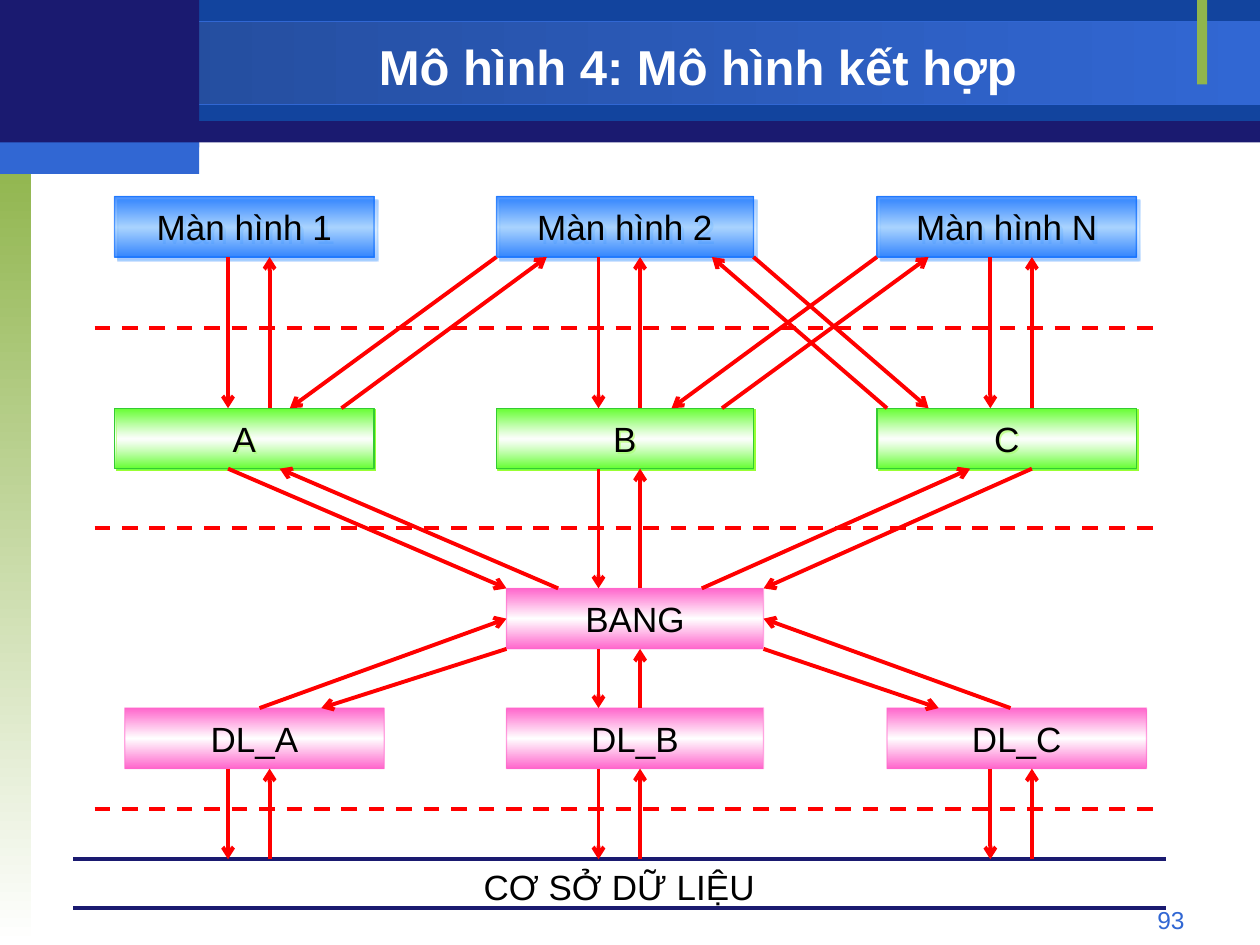
from lxml.etree import SubElement
from pptx import Presentation
from pptx.dml.color import RGBColor
from pptx.enum.dml import MSO_LINE_DASH_STYLE as Dash
from pptx.enum.shapes import MSO_CONNECTOR as Connector, MSO_SHAPE as Preset
from pptx.enum.text import MSO_ANCHOR as Anchor, PP_ALIGN as Align
from pptx.oxml.ns import qn
from pptx.util import Inches, Pt

WIDTH, HEIGHT = 10, 7.5
NAVY, DEEP_BLUE, BLUE, GREEN, RED = "1A1A70", "12449E", "3167D3", "90B54D", "FF0000"

# Diagram grid: box columns as (left, width), then row tops
COLUMNS = [(0.91, 2.06), (3.94, 2.04), (6.96, 2.06)]
DATA_SHIFT = 0.08
BOX_HEIGHT = 0.48
SCREEN, MODULE, BANG, DATA, BASE, BASE_END = 1.56, 3.24, 4.67, 5.62, 6.82, 7.21
SCREEN_END, MODULE_END, BANG_END, DATA_END = (
    top + BOX_HEIGHT for top in (SCREEN, MODULE, BANG, DATA))
DOWN_X = [1.81, 4.75, 7.86]
UP_SHIFT = 0.33
BANG_LEFT = COLUMNS[1][0] + DATA_SHIFT
BANG_RIGHT = BANG_LEFT + COLUMNS[1][1]

# Gradient stops are (position, colour, opacity), all in percent
SCREEN_STYLE = dict(
    stops=[(0, "0066FF", 71), (50, "99CCFF", 71), (100, "0066FF", 71)],
    border="0066FF", border_opacity=60, shadow=("3399FF", 50, 2.8), before=50)
MODULE_STYLE = dict(
    stops=[(0, "66FF33", 100), (50, "FFFFFF", 50), (100, "66FF33", 100)],
    border="33CC33", shadow=("99FF33", 100, 1.4))
DATA_STYLE = dict(
    stops=[(0, "FF66CC", 100), (50, "FFFFFF", 100), (100, "FF66CC", 100)],
    border="FF66CC", border_opacity=60)

# Slanted arrows as (start, end)
SLANTED = [
    ((3.94, SCREEN_END), (2.3, MODULE)), ((2.71, MODULE), (4.34, SCREEN_END)),
    ((6.96, SCREEN_END), (5.33, MODULE)), ((5.73, MODULE), (7.37, SCREEN_END)),
    ((7.04, MODULE), (5.65, SCREEN_END)), ((5.98, SCREEN_END), (7.37, MODULE)),
    ((1.81, MODULE_END), (BANG_LEFT, BANG)), ((4.43, BANG), (2.22, MODULE_END)),
    ((8.19, MODULE_END), (BANG_RIGHT, BANG)), ((5.57, BANG), (7.7, MODULE_END)),
    ((BANG_RIGHT, BANG_END), (7.45, DATA)), ((8.02, DATA), (BANG_RIGHT, 4.91)),
    ((2.06, DATA), (BANG_LEFT, 4.91)), ((BANG_LEFT, BANG_END), (2.55, DATA)),
]


def colour(code):
    return RGBColor.from_string(code)


def add_colour(parent, code, opacity=100):
    node = SubElement(parent, qn("a:srgbClr"), val=code)
    if opacity < 100:
        SubElement(node, qn("a:alpha"), val=str(opacity * 1000))


def set_gradient(shape, stops, angle):
    shape.fill.gradient()
    gradient = shape.element.spPr.find(qn("a:gradFill"))
    for child in list(gradient):
        gradient.remove(child)
    stop_list = SubElement(gradient, qn("a:gsLst"))
    for position, code, opacity in stops:
        stop = SubElement(stop_list, qn("a:gs"), pos=str(position * 1000))
        add_colour(stop, code, opacity)
    SubElement(gradient, qn("a:lin"), ang=str(angle * 60000), scaled="0")


def add_panel(page, left, top, width, height, fill=None, stops=None, angle=90,
              border=None, border_opacity=100, shadow=None):
    panel = page.shapes.add_shape(Preset.RECTANGLE, Inches(left), Inches(top),
                                  Inches(width), Inches(height))
    if stops:
        set_gradient(panel, stops, angle)
    else:
        panel.fill.solid()
        panel.fill.fore_color.rgb = colour(fill)
    if border:
        panel.line.color.rgb = colour(border)
        panel.line.width = Pt(0.75)
        if border_opacity < 100:
            tint = panel.line.fill.fore_color  # solid line colour
            tint.rgb = colour(border)
            node = panel.element.spPr.find(f"{qn('a:ln')}//{qn('a:srgbClr')}")
            SubElement(node, qn("a:alpha"), val=str(border_opacity * 1000))
    else:
        panel.line.fill.background()
    panel.shadow.inherit = False
    if shadow:
        code, opacity, distance = shadow
        effects = panel.element.spPr.find(qn("a:effectLst"))
        outer = SubElement(effects, qn("a:outerShdw"), blurRad="0",
                           dist=str(Pt(distance)), dir=str(45 * 60000),
                           algn="ctr", rotWithShape="0")
        add_colour(outer, code, opacity)
    return panel


def write(shape, text, size=20, code="000000", bold=False, align=Align.CENTER,
          anchor=Anchor.MIDDLE, before=0):
    frame = shape.text_frame
    frame.word_wrap = True
    frame.vertical_anchor = anchor
    para = frame.paragraphs[0]
    para.alignment = align
    if before:
        spacing = SubElement(para._p.get_or_add_pPr(), qn("a:spcBef"))
        SubElement(spacing, qn("a:spcPct"), val=str(before * 1000))
    span = para.add_run()
    span.text = text
    span.font.name = "Arial"
    span.font.size = Pt(size)
    span.font.bold = bold
    span.font.color.rgb = colour(code)


def add_text(page, left, top, width, height, text, **style):
    box = page.shapes.add_textbox(Inches(left), Inches(top), Inches(width), Inches(height))
    write(box, text, **style)


def add_box(page, left, top, width, text, before=0, **style):
    write(add_panel(page, left, top, width, BOX_HEIGHT, **style), text, before=before)


def add_line(page, start, end, code=RED, dashed=False, arrow=False):
    line = page.shapes.add_connector(Connector.STRAIGHT,
                                     *(Inches(value) for value in (*start, *end)))
    line.line.color.rgb = colour(code)
    line.line.width = Pt(2.25)
    if dashed:
        line.line.dash_style = Dash.DASH
    properties = line.element.spPr
    if arrow:
        SubElement(properties.find(qn("a:ln")), qn("a:tailEnd"), type="arrow")
    SubElement(properties, qn("a:effectLst"))


def add_arrow_pair(page, column, top, bottom):
    down = DOWN_X[column]
    up = down + UP_SHIFT
    add_line(page, (down, top), (down, bottom), arrow=True)
    add_line(page, (up, bottom), (up, top), arrow=True)


def add_frame(page):
    corner = 1.58
    add_panel(page, 0, 0.01, WIDTH, 1.12, NAVY)
    add_panel(page, corner, 0, WIDTH - corner, 0.96, DEEP_BLUE)
    add_panel(page, 0, 0.17, WIDTH, 0.66, angle=0, border=BLUE,
              stops=[(0, "234A97", 100), (100, BLUE, 100)])
    add_panel(page, 0, 1.25, 0.25, HEIGHT - 1.25,
              stops=[(0, GREEN, 100), (100, "FFFFFF", 100)])
    add_panel(page, 9.5, 0, 0.08, 0.67, GREEN)
    add_panel(page, 0, 0, corner, 1.17, NAVY)
    add_panel(page, 0, 1.13, corner, 0.25, BLUE)
    add_text(page, 7.17, 7.13, 2.33, 0.27, "93", size=14, code=BLUE,
             align=Align.RIGHT, anchor=Anchor.TOP)
    add_text(page, corner, 0.23, 7.92, 0.58, "Mô hình 4: Mô hình kết hợp",
             size=28, code="FFFFFF", bold=True)


def add_diagram(page):
    # Database band and layer separators
    for level in (BASE, BASE_END):
        add_line(page, (0.58, level), (9.25, level), code=NAVY)
    add_text(page, 0.58, BASE, 8.67, 0.43, "CƠ SỞ DỮ LIỆU",
             anchor=Anchor.TOP, before=50)
    for level in (2.6, 4.19, 6.42):
        add_line(page, (0.75, level), (9.17, level), dashed=True)

    # Rows of boxes
    rows = [
        (SCREEN, 0, ("Màn hình 1", "Màn hình 2", "Màn hình N"), SCREEN_STYLE),
        (MODULE, 0, "ABC", MODULE_STYLE),
        (DATA, DATA_SHIFT, ("DL_A", "DL_B", "DL_C"), DATA_STYLE),
    ]
    for top, shift, labels, style in rows:
        for (left, width), label in zip(COLUMNS, labels):
            add_box(page, left + shift, top, width, label, **style)
    add_box(page, BANG_LEFT, BANG, COLUMNS[1][1], "BANG", **DATA_STYLE)

    # Upright arrow pairs, then slanted arrows
    for column in range(len(COLUMNS)):
        add_arrow_pair(page, column, SCREEN_END, MODULE)
        add_arrow_pair(page, column, DATA_END, BASE)
    add_arrow_pair(page, 1, MODULE_END, BANG)
    add_arrow_pair(page, 1, BANG_END, DATA)
    for start, end in SLANTED:
        add_line(page, start, end, arrow=True)


def main():
    deck = Presentation()
    deck.slide_width, deck.slide_height = Inches(WIDTH), Inches(HEIGHT)
    page = deck.slides.add_slide(deck.slide_layouts[6])
    add_frame(page)
    add_diagram(page)
    deck.save("out.pptx")


if __name__ == "__main__":
    main()
